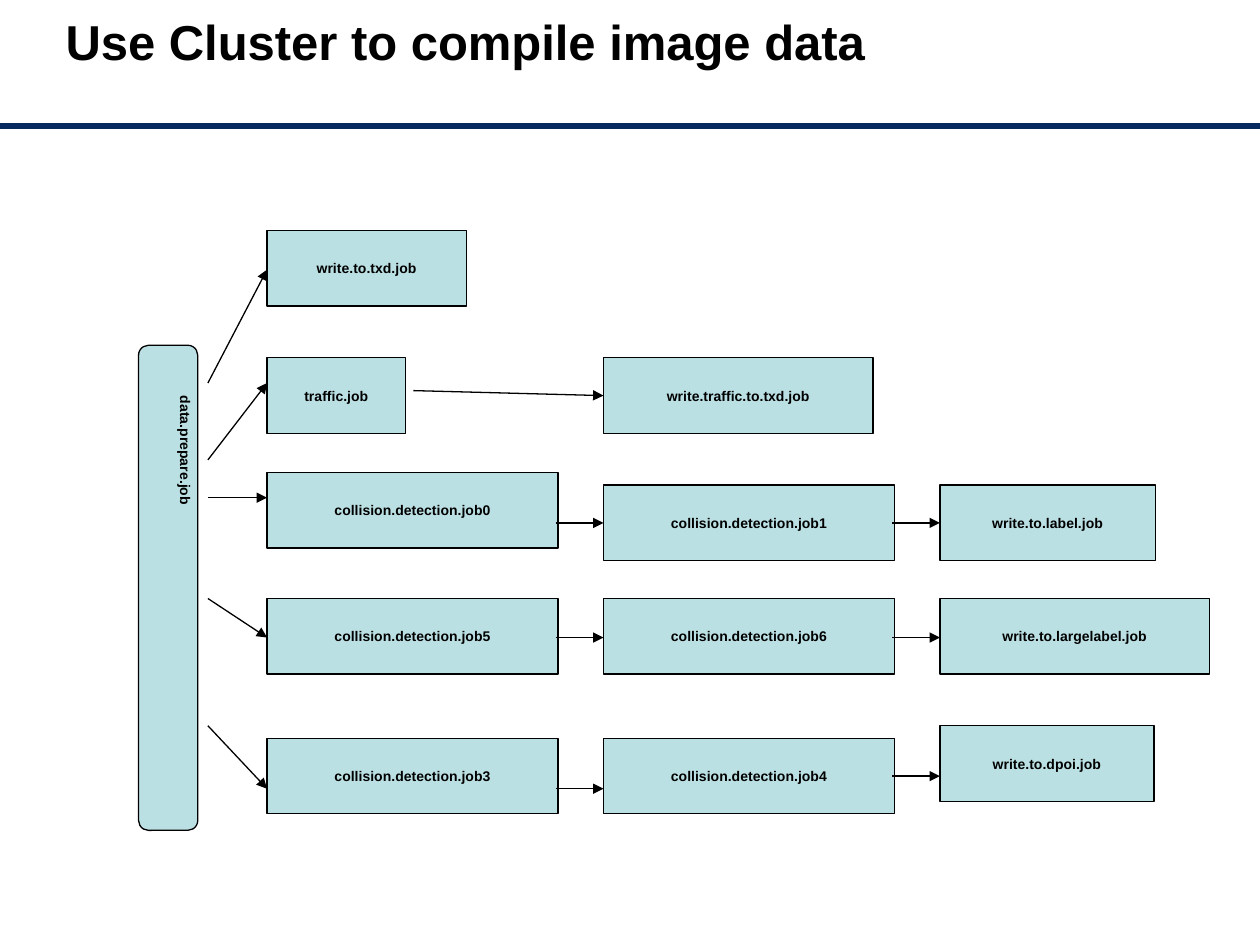
from lxml import etree
from pptx import Presentation
from pptx.dml.color import RGBColor
from pptx.enum.shapes import MSO_CONNECTOR, MSO_SHAPE
from pptx.enum.text import MSO_ANCHOR, PP_ALIGN
from pptx.oxml.ns import qn
from pptx.util import Inches, Pt

BLACK = RGBColor(0x00, 0x00, 0x00)
NAVY = RGBColor(0x07, 0x2A, 0x5E)
TEAL = RGBColor(0xBB, 0xE0, 0xE3)

FONT = "Arial"
COLUMNS = (2.12, 4.79, 7.46)
BOX_HEIGHT = 0.6
WIDE = 2.31

# column, top, width, label
JOBS = [
    (0, 1.83, 1.58, "write.to.txd.job"),
    (0, 2.84, 1.1, "traffic.job"),
    (1, 2.84, 2.14, "write.traffic.to.txd.job"),
    (0, 3.75, WIDE, "collision.detection.job0"),
    (1, 3.85, WIDE, "collision.detection.job1"),
    (2, 3.85, 1.71, "write.to.label.job"),
    (0, 4.75, WIDE, "collision.detection.job5"),
    (1, 4.75, WIDE, "collision.detection.job6"),
    (2, 4.75, 2.14, "write.to.largelabel.job"),
    (0, 5.86, WIDE, "collision.detection.job3"),
    (1, 5.86, WIDE, "collision.detection.job4"),
    (2, 5.76, 1.7, "write.to.dpoi.job"),
]

# target column, start x, start y, end y
ARROWS = [
    (0, 1.65, 3.04, 2.14),
    (0, 1.65, 3.65, 3.04),
    (0, 1.65, 3.95, 3.95),
    (0, 1.65, 4.75, 5.06),
    (0, 1.65, 5.76, 6.26),
    (1, 3.28, 3.1, 3.14),
    (1, 4.41, 4.15, 4.15),
    (1, 4.41, 5.06, 5.06),
    (1, 4.41, 6.26, 6.26),
    (2, 7.08, 4.15, 4.15),
    (2, 7.08, 5.06, 5.06),
    (2, 7.08, 6.16, 6.16),
]


class FlowSlide:
    """Draws the elements of a job flow on one slide."""

    def __init__(self, prs):
        """Add a title-only slide."""
        self.s = prs.slides.add_slide(prs.slide_layouts[5])

    def style(self, p, size):
        """Set the common bold font on a paragraph."""
        p.font.name = FONT
        p.font.size = Pt(size)
        p.font.bold = True
        p.font.color.rgb = BLACK

    def title(self, text):
        """Fill and place the title, raised within its frame."""
        sp = self.s.shapes.title
        sp.left, sp.top = Inches(0.42), Inches(0.25)
        sp.width, sp.height = Inches(9), Inches(0.62)
        tf = sp.text_frame
        tf.text = text
        tf.vertical_anchor = MSO_ANCHOR.MIDDLE
        tf.margin_top, tf.margin_bottom = 0, Inches(0.47)
        p = tf.paragraphs[0]
        p.alignment = PP_ALIGN.LEFT
        self.style(p, 28)

    def label(self, sp, text):
        """Write a small label into a shape."""
        tf = sp.text_frame
        tf.margin_left = tf.margin_right = Inches(0.08)
        tf.margin_top = tf.margin_bottom = Inches(0.04)
        tf.text = text
        self.style(tf.paragraphs[0], 8)
        return tf

    def shape(self, kind, x, y, w, h):
        """Add a filled, outlined shape."""
        sp = self.s.shapes.add_shape(kind, Inches(x), Inches(y), Inches(w), Inches(h))
        sp.shadow.inherit = False
        sp.fill.solid()
        sp.fill.fore_color.rgb = TEAL
        sp.line.color.rgb = BLACK
        sp.line.width = Pt(0.75)
        return sp

    def job(self, x, y, w, text):
        """Add a job box with a centred label."""
        sp = self.shape(MSO_SHAPE.RECTANGLE, x, y, w, BOX_HEIGHT)
        tf = self.label(sp, text)
        tf.word_wrap = False
        tf.vertical_anchor = MSO_ANCHOR.MIDDLE
        tf.paragraphs[0].alignment = PP_ALIGN.CENTER

    def vertical_text(self, x, y, w, h, text):
        """Add a text box whose text runs downwards."""
        sp = self.s.shapes.add_textbox(Inches(x), Inches(y), Inches(w), Inches(h))
        tf = self.label(sp, text)
        tf.word_wrap = True
        sp.element.txBody.find(qn("a:bodyPr")).set("vert", "eaVert")

    def line(self, x1, y1, x2, y2, color=BLACK, width=0.75, arrow=False):
        """Add a straight line, with an arrowhead at its end if asked."""
        c = self.s.shapes.add_connector(
            MSO_CONNECTOR.STRAIGHT, Inches(x1), Inches(y1), Inches(x2), Inches(y2))
        c.line.color.rgb = color
        c.line.width = Pt(width)
        if arrow:
            ln = c.line._get_or_add_ln()
            etree.SubElement(ln, qn("a:tailEnd"), type="triangle")
        etree.SubElement(c.element.spPr, qn("a:effectLst"))


def main():
    """Build and save the slide."""
    prs = Presentation()
    prs.slide_width, prs.slide_height = Inches(10), Inches(7.5)
    flow = FlowSlide(prs)
    flow.line(0, 1, 10, 1, NAVY, 3)
    flow.title("Use Cluster to compile image data")
    flow.shape(MSO_SHAPE.ROUNDED_RECTANGLE, 1.1, 2.74, 0.47, 3.85)
    flow.vertical_text(1.1, 3.1, 0.52, 3.28, "data.prepare.job")
    for column, y, w, text in JOBS:
        flow.job(COLUMNS[column], y, w, text)
    for column, x, y1, y2 in ARROWS:
        flow.line(x, y1, COLUMNS[column], y2, arrow=True)
    prs.save("out.pptx")


main()
